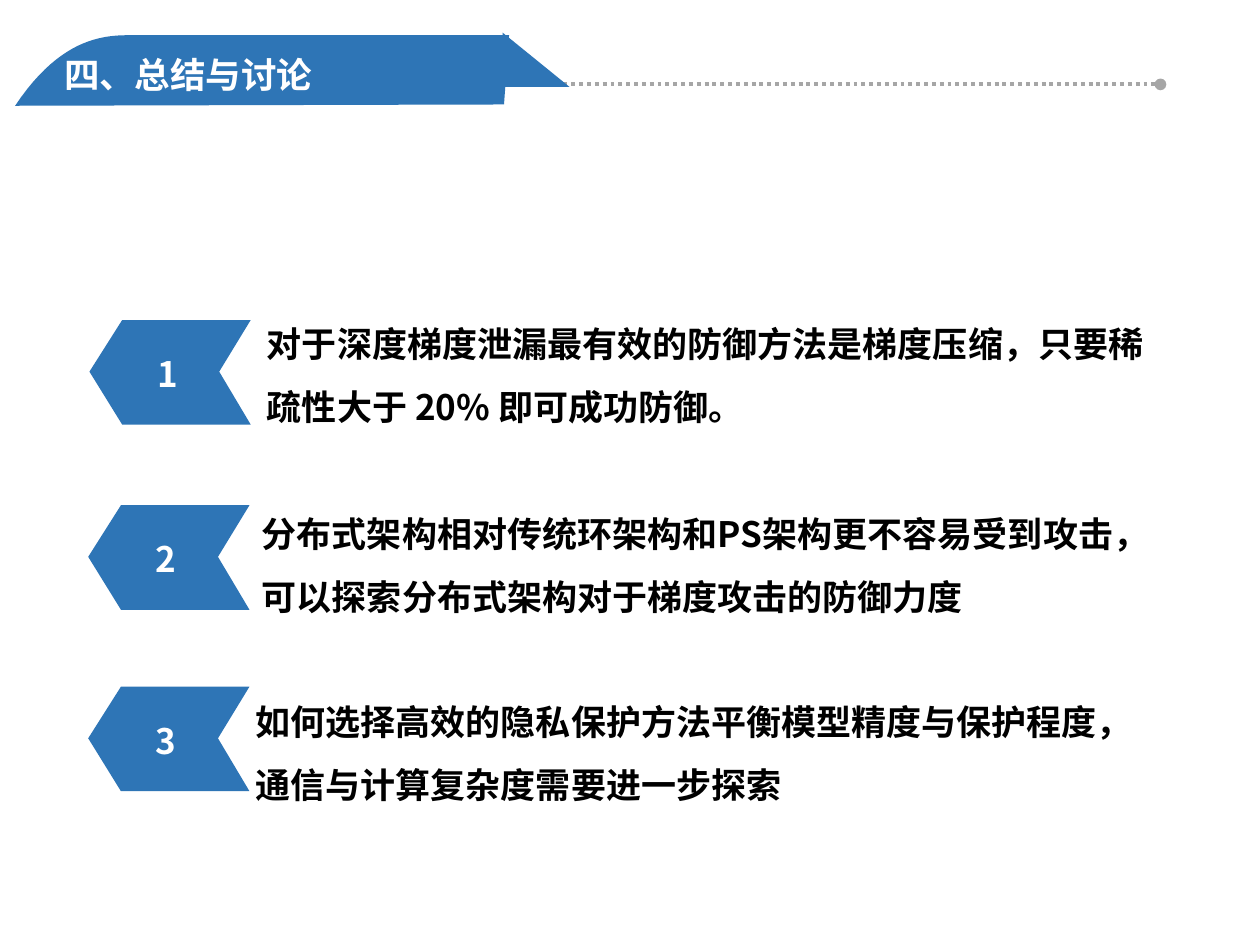
from dataclasses import dataclass

from lxml import etree
from pptx import Presentation
from pptx.dml.color import RGBColor
from pptx.enum.dml import MSO_LINE
from pptx.enum.shapes import MSO_CONNECTOR, MSO_SHAPE
from pptx.enum.text import MSO_ANCHOR, PP_ALIGN
from pptx.oxml.ns import qn
from pptx.util import Inches, Pt

STRAIGHT = MSO_CONNECTOR.STRAIGHT
RIGHT_TRIANGLE = MSO_SHAPE.RIGHT_TRIANGLE
DOTTED = MSO_LINE.ROUND_DOT
TOP, MIDDLE = MSO_ANCHOR.TOP, MSO_ANCHOR.MIDDLE
LEFT, CENTER = PP_ALIGN.LEFT, PP_ALIGN.CENTER


@dataclass(frozen=True)
class Theme:
    font: str = "Noto Sans CJK SC"
    blue: RGBColor = RGBColor(0x2E, 0x75, 0xB6)
    grey: RGBColor = RGBColor(0xA6, 0xA6, 0xA6)
    white: RGBColor = RGBColor(0xFF, 0xFF, 0xFF)
    black: RGBColor = RGBColor(0, 0, 0)
    title_size: Pt = Pt(20.3)
    body_size: Pt = Pt(20)


theme = Theme()
deck = Presentation()
deck.slide_width, deck.slide_height = Inches(10), Inches(7.5)
slide = deck.slides.add_slide(deck.slide_layouts[6])
shapes = slide.shapes


def add_outline(points):
    corners = [(Inches(x), Inches(y)) for x, y in points]
    builder = shapes.build_freeform(*corners[0])
    builder.add_line_segments(corners[1:], close=True)
    outline = builder.convert_to_shape()
    outline.shadow.inherit = False
    outline.fill.solid()
    outline.fill.fore_color.rgb = theme.blue
    outline.line.fill.background()


def add_text(text, left, top, width, height, size, color, align=LEFT, anchor=TOP, spacing=1.0):
    box = shapes.add_textbox(Inches(left), Inches(top), Inches(width), Inches(height))
    frame = box.text_frame
    frame.word_wrap = True
    frame.vertical_anchor = anchor
    para = frame.paragraphs[0]
    para.text = text
    para.alignment = align
    para.line_spacing = spacing
    para._p.get_or_add_pPr().set("hangingPunct", "0")
    font = para.font
    font.name, font.size, font.bold = theme.font, size, True
    font.color.rgb = color
    east_asian = etree.SubElement(font._element, qn("a:ea"))
    east_asian.set("typeface", theme.font)


rule = shapes.add_connector(STRAIGHT, Inches(1.86), Inches(0.67), Inches(9.21), Inches(0.67))
rule.line.color.rgb = theme.grey
rule.line.width = Pt(2.25)
rule.line.dash_style = DOTTED
tail = etree.SubElement(rule.line._get_or_add_ln(), qn("a:tailEnd"))
tail.set("type", "oval")
etree.SubElement(rule._element.spPr, qn("a:effectLst"))

fold = shapes.add_shape(RIGHT_TRIANGLE, Inches(3.99), Inches(0.26), Inches(0.53), Inches(0.43))
fold.shadow.inherit = False
fold.fill.solid()
fold.fill.fore_color.rgb = theme.blue
fold.line.fill.background()

curve_controls = [(0.12, 0.84), (0.5, 0.27), (0.86, 0.28), (1.06, 0.28)]
curve_steps = 24
banner = []
for step in range(curve_steps + 1):
    t = step / curve_steps
    weights = [(1 - t) ** 3, 3 * t * (1 - t) ** 2, 3 * t**2 * (1 - t), t**3]
    banner.append(tuple(
        sum(weight * control[axis] for weight, control in zip(weights, curve_controls))
        for axis in (0, 1)
    ))
add_outline(banner + [(4.04, 0.28), (4, 0.83)])
add_text("四、总结与讨论", 0.41, 0.37, 3.81, 0.44, theme.title_size, theme.white)

ribbon = [(1.28, 0), (0.26, 0), (0, 0.41), (0.26, 0.83), (1.28, 0.83), (1.03, 0.41)]
conclusions = [
    (0.71, 2.54, 2.02, 2.34, 7.25, "对于深度梯度泄漏最有效的防御方法是梯度压缩，只要稀疏性大于 20% 即可成功防御。"),
    (0.7, 4.01, 1.98, 3.85, 7.26, "分布式架构相对传统环架构和PS架构更不容易受到攻击，可以探索分布式架构对于梯度攻击的防御力度"),
    (0.7, 5.45, 1.93, 5.34, 7.28, "如何选择高效的隐私保护方法平衡模型精度与保护程度，通信与计算复杂度需要进一步探索"),
]
for number, (left, top, text_left, text_top, text_width, text) in enumerate(conclusions, 1):
    add_text(text, text_left, text_top, text_width, 1.05, theme.body_size, theme.black, spacing=1.5)
    add_outline([(left + x, top + y) for x, y in ribbon])
    add_text(str(number), left + 0.2, top + 0.02, 0.84, 0.81,
             theme.body_size, theme.white, CENTER, MIDDLE)

deck.save("out.pptx")
